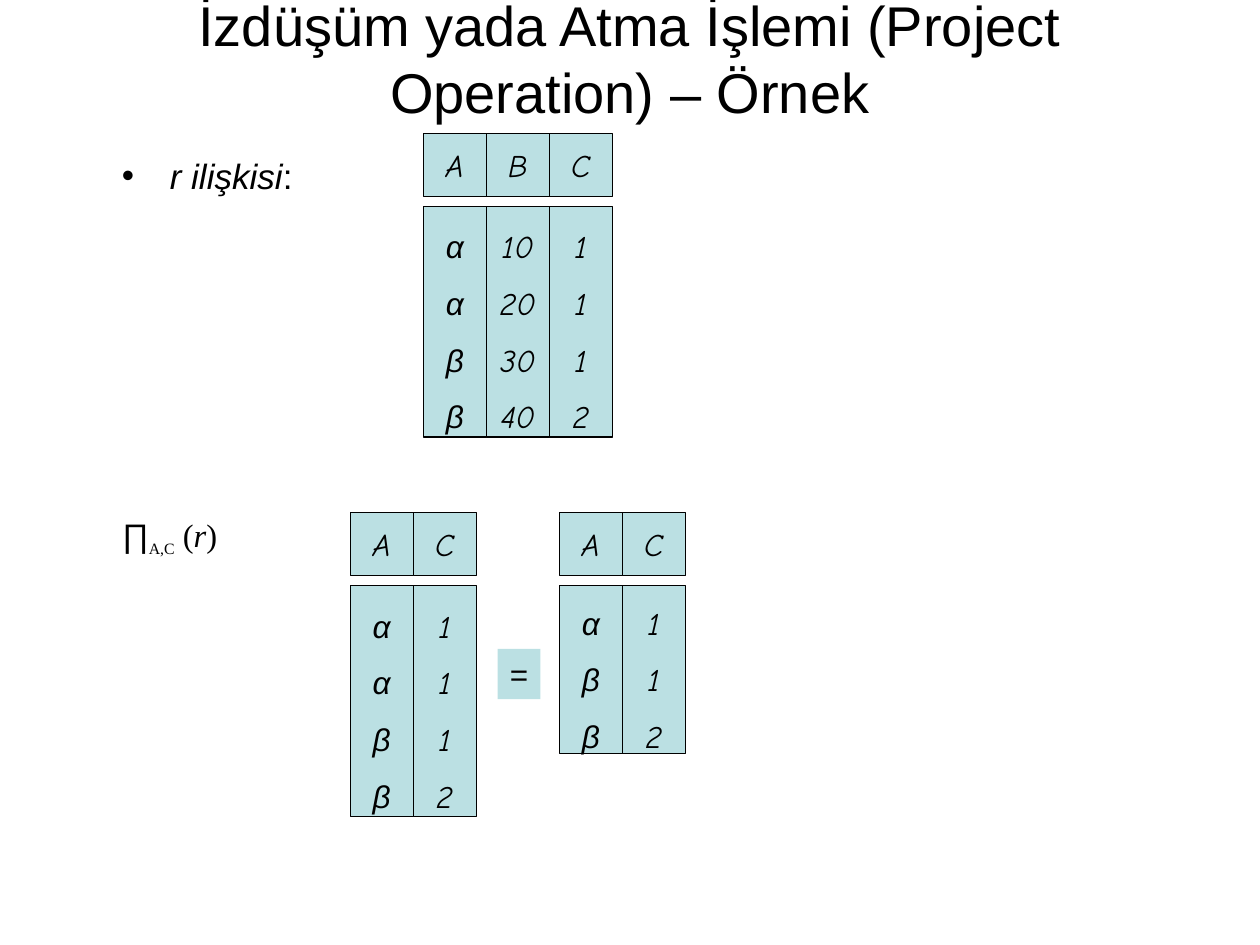
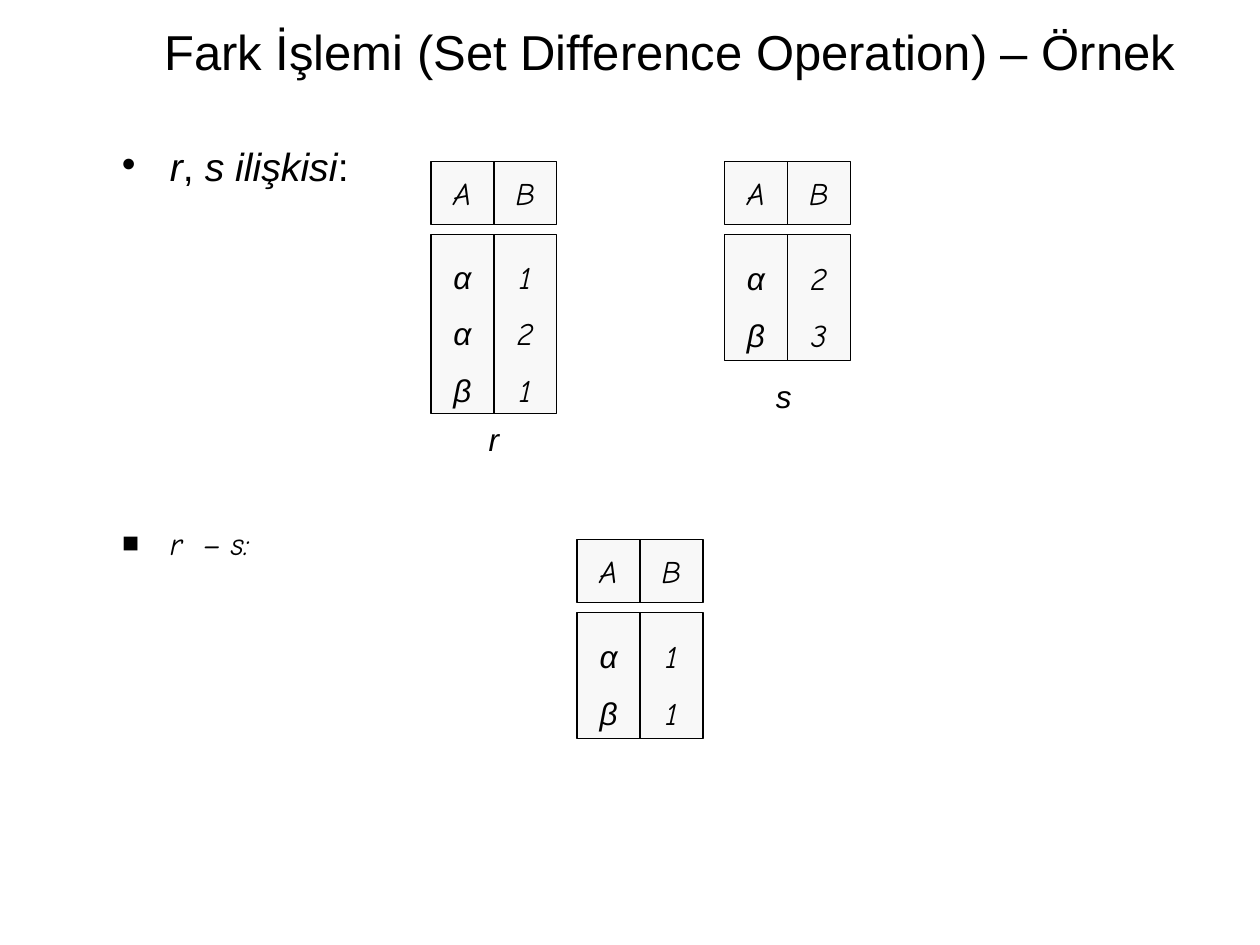
import pptx
import pptx.util
import pptx.dml.color
import pptx.enum.shapes
import pptx.enum.text
import pptx.oxml.ns
from lxml import etree

Inches = pptx.util.Inches
ANCHOR = pptx.enum.text.MSO_ANCHOR
ALIGN = pptx.enum.text.PP_ALIGN

BLACK = "000000"
TEAL = "BBE0E3"
PALE = "F8F8F8"
SANS = "Arial"
COMIC = "Comic Neue"
SERIF = "Times New Roman"
CELL = 0.5    # column width and header height
GAP = 0.08    # space between header and body


def color(code):
    return pptx.dml.color.RGBColor.from_string(code)


def add_run(para, text, size, face=SANS, italic=False, base=0):
    run = para.add_run()
    run.text = text
    font = run.font
    font.size = pptx.util.Pt(size)
    font.name = face
    font.italic = italic
    font.color.rgb = color(BLACK)
    if base:
        font._element.set("baseline", str(base * 1000))


def add_text(slide, box, runs, align=ALIGN.LEFT, anchor=ANCHOR.TOP,
             spacing=None, wrap=True):
    """Add a text box with one paragraph and return that paragraph."""
    frame = slide.shapes.add_textbox(*map(Inches, box)).text_frame
    frame.word_wrap = wrap
    frame.vertical_anchor = anchor
    para = frame.paragraphs[0]
    para.alignment = align
    if spacing:
        para.line_spacing = spacing
    for run in runs:
        add_run(para, *run)
    return para


def add_title(slide, box, text, size):
    add_text(slide, box, [(text, size)], ALIGN.CENTER, ANCHOR.MIDDLE)


def add_bullet(para, char, scale=100):
    props = para._p.get_or_add_pPr()
    props.set("marL", str(Inches(0.38)))
    props.set("indent", str(-Inches(0.38)))
    qn = pptx.oxml.ns.qn
    tint = etree.SubElement(props, qn("a:buClr"))
    etree.SubElement(tint, qn("a:srgbClr"), val=BLACK)
    etree.SubElement(props, qn("a:buSzPct"), val=str(scale * 1000))
    etree.SubElement(props, qn("a:buFont"), typeface=SANS)
    etree.SubElement(props, qn("a:buChar"), char=char)


def add_rect(slide, box, fill, lines, face, italic=True, spacing=None,
             border=True):
    """Add a filled box with one centred paragraph per line."""
    rect = slide.shapes.add_shape(
        pptx.enum.shapes.MSO_SHAPE.RECTANGLE, *map(Inches, box))
    rect.shadow.inherit = False
    rect.fill.solid()
    rect.fill.fore_color.rgb = color(fill)
    if border:
        rect.line.color.rgb = color(BLACK)
        rect.line.width = pptx.util.Pt(0.75)
    else:
        rect.line.fill.background()
    frame = rect.text_frame
    frame.word_wrap = False
    frame.vertical_anchor = ANCHOR.MIDDLE
    for i, text in enumerate(lines):
        para = frame.add_paragraph() if i else frame.paragraphs[0]
        para.alignment = ALIGN.CENTER
        if spacing:
            para.line_spacing = spacing
        add_run(para, text, 18, face, italic)


def add_table(slide, left, top, height, fill, cols):
    """Draw a relation: a header cell above a tall box for each column."""
    for i, (name, vals) in enumerate(cols.items()):
        x = left + i * CELL
        face = SANS if name == "A" else COMIC
        add_rect(slide, (x, top, CELL, CELL), fill, name, COMIC)
        add_rect(slide, (x, top + CELL + GAP, CELL, height), fill,
                 vals.split(), face, spacing=1.5)


def add_label(slide, box, text):
    add_text(slide, box, [(text, 18, SANS, True)],
             ALIGN.CENTER, ANCHOR.MIDDLE, wrap=False)


def build_project(slide):
    add_title(slide, (0.5, 0, 9, 0.92),
              "İzdüşüm yada Atma İşlemi (Project Operation) – Örnek", 32)
    # Relation r
    para = add_text(slide, (0.87, 1.18, 7.5, 0.45),
                    [("r ilişkisi", 20, SANS, True), (":", 20)])
    add_bullet(para, "•")
    add_table(slide, 3.36, 1.06, 1.83, TEAL,
              {"A": "α α β β", "B": "10 20 30 40", "C": "1 1 1 2"})
    # Projection before and after duplicates go
    add_table(slide, 2.78, 4.07, 1.83, TEAL,
              {"A": "α α β β", "C": "1 1 1 2"})
    add_rect(slide, (3.95, 5.15, 0.34, 0.4), TEAL, "=", SANS,
             italic=False, border=False)
    add_table(slide, 4.44, 4.07, 1.33, TEAL, {"A": "α β β", "C": "1 1 2"})
    # Formula
    add_text(slide, (0.87, 4.08, 7.69, 0.45),
             [("∏", 18.6), ("A,C", 15.5, SERIF, False, -25),
              (" (", 18.6, SERIF), ("r", 18.6, SERIF, True),
              (")", 18.6, SERIF)], spacing=0.8)


def build_minus(slide):
    add_title(slide, (0.9, 0.07, 8.83, 0.67),
              "Fark İşlemi (Set Difference Operation) – Örnek", 28)
    # Relations r and s
    para = add_text(slide, (0.87, 1.18, 7.5, 0.37),
                    [("r", 22.4, SANS, True), (", ", 22.4),
                     ("s ilişkisi", 22.4, SANS, True), (":", 22.4)],
                    spacing=0.7)
    add_bullet(para, "•")
    add_table(slide, 3.42, 1.28, 1.42, PALE, {"A": "α α β", "B": "1 2 1"})
    add_label(slide, (3.78, 3.28, 0.28, 0.4), "r")
    add_table(slide, 5.75, 1.28, 1, PALE, {"A": "α β", "B": "2 3"})
    add_label(slide, (6.06, 2.94, 0.32, 0.4), "s")
    # Difference
    para = add_text(slide, (0.87, 4.17, 7.69, 0.36),
                    [("r  – s:", 18, COMIC, True)], spacing=0.8)
    add_bullet(para, "■", 90)
    add_table(slide, 4.58, 4.28, 1, PALE, {"A": "α β", "B": "1 1"})


def main():
    deck = pptx.Presentation()
    deck.slide_width = Inches(10)
    deck.slide_height = Inches(7.5)
    for build in (build_project, build_minus):
        build(deck.slides.add_slide(deck.slide_layouts[6]))
    deck.save("out.pptx")


if __name__ == "__main__":
    main()
